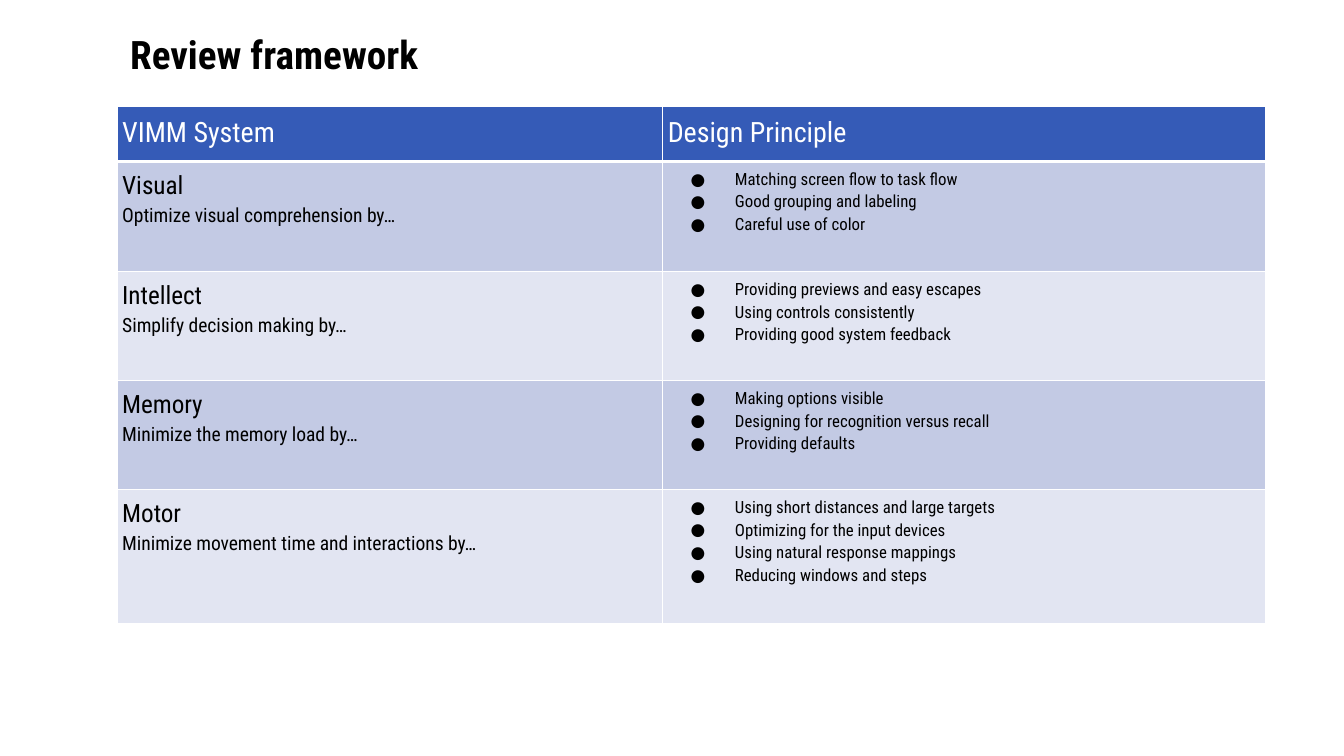
import dataclasses

import lxml.etree
import pptx
import pptx.dml.color
import pptx.enum.text
import pptx.oxml
import pptx.oxml.ns
import pptx.util

Cm = pptx.util.Cm
Pt = pptx.util.Pt
qn = pptx.oxml.ns.qn


@dataclasses.dataclass(frozen=True)
class Theme:
    font: str = "Roboto Condensed"
    text: str = "000000"
    light: str = "FFFFFF"
    header: str = "355BB7"
    bands: tuple = ("C3CAE4", "E2E5F2")
    title_size: float = 21
    header_size: float = 15
    system_size: float = 13.5
    goal_size: float = 10.5
    bullet_size: float = 9
    thin: float = 0.75
    thick: float = 2.25


THEME = Theme()
HEADINGS = ("VIMM System", "Design Principle")
SYSTEMS = [
    ("Visual", "Optimize visual comprehension by…",
     ["Matching screen flow to task flow", "Good grouping and labeling",
      "Careful use of color"]),
    ("Intellect", "Simplify decision making by…",
     ["Providing previews and easy escapes", "Using controls consistently",
      "Providing good system feedback"]),
    ("Memory", "Minimize the memory load by…",
     ["Making options visible", "Designing for recognition versus recall",
      "Providing defaults"]),
    ("Motor", "Minimize movement time and interactions by…",
     ["Using short distances and large targets", "Optimizing for the input devices",
      "Using natural response mappings", "Reducing windows and steps"]),
]
COLUMN_WIDTHS = (10.31, 11.4)
ROW_HEIGHTS = (1.04, 2.08, 2.06, 2.06, 2.54)


def rgb(color):
    return pptx.dml.color.RGBColor.from_string(color)


def format_runs(p, size, color, bold=False):
    for r in p.runs:
        r.font.name = THEME.font
        r.font.size = Pt(size)
        r.font.bold = bold
        r.font.color.rgb = rgb(color)


def add_bullet(p):
    pPr = p._p.get_or_add_pPr()
    pPr.set("marL", str(Cm(1.27)))
    pPr.set("indent", str(-Cm(0.84)))
    buClr = lxml.etree.SubElement(pPr, qn("a:buClr"))
    lxml.etree.SubElement(buClr, qn("a:srgbClr"), val=THEME.text)
    lxml.etree.SubElement(pPr, qn("a:buFont"), typeface=THEME.font)
    lxml.etree.SubElement(pPr, qn("a:buChar"), char="●")


def set_borders(cell, top, bottom):
    tcPr = cell._tc.get_or_add_tcPr()
    widths = {"lnL": THEME.thin, "lnR": THEME.thin, "lnT": top, "lnB": bottom}
    for i, (side, width) in enumerate(widths.items()):
        ln = lxml.etree.Element(qn(f"a:{side}"), w=str(Pt(width)))
        fill = lxml.etree.SubElement(ln, qn("a:solidFill"))
        lxml.etree.SubElement(fill, qn("a:srgbClr"), val=THEME.light)
        tcPr.insert(i, ln)


def fill_cell(cell, lines, sizes, color, fill, bulleted=False):
    cell.margin_left = cell.margin_right = Cm(0.1)
    cell.margin_top = cell.margin_bottom = Cm(0.1)
    cell.fill.solid()
    cell.fill.fore_color.rgb = rgb(fill)
    tf = cell.text_frame
    tf.text = "\n".join(lines)
    for p, size in zip(tf.paragraphs, sizes):
        p.line_spacing = 1.15
        if bulleted:
            add_bullet(p)
        format_runs(p, size, color)


def place_title(s, left, top, width, height):
    title = s.shapes.title
    title.left, title.top, title.width, title.height = left, top, width, height
    tf = title.text_frame
    tf.text = "Review framework"
    tf.word_wrap = True
    tf.auto_size = pptx.enum.text.MSO_AUTO_SIZE.NONE
    tf.vertical_anchor = pptx.enum.text.MSO_ANCHOR.MIDDLE
    tf.margin_left = tf.margin_right = tf.margin_top = tf.margin_bottom = Cm(0.25)
    p = tf.paragraphs[0]
    p.alignment = pptx.enum.text.PP_ALIGN.LEFT
    format_runs(p, THEME.title_size, THEME.text, bold=True)


def place_framework(s, left, top, width, height):
    table = s.shapes.add_table(
        len(SYSTEMS) + 1, len(HEADINGS), left, top, width, height).table
    for column, share in zip(table.columns, COLUMN_WIDTHS):
        column.width = int(width * share / sum(COLUMN_WIDTHS))
    for row, share in zip(table.rows, ROW_HEIGHTS):
        row.height = int(height * share / sum(ROW_HEIGHTS))

    for i, heading in enumerate(HEADINGS):
        fill_cell(table.cell(0, i), [heading], [THEME.header_size],
                  THEME.light, THEME.header)
    for i, (system, goal, principles) in enumerate(SYSTEMS):
        band = THEME.bands[i % 2]
        fill_cell(table.cell(i + 1, 0), [system, goal],
                  [THEME.system_size, THEME.goal_size], THEME.text, band)
        fill_cell(table.cell(i + 1, 1), principles,
                  [THEME.bullet_size] * len(principles), THEME.text, band,
                  bulleted=True)

    for i, row in enumerate(table.rows):
        for cell in row.cells:
            set_borders(cell,
                        top=THEME.thick if i == 1 else THEME.thin,
                        bottom=THEME.thick if i == 0 else THEME.thin)


def main():
    prs = pptx.Presentation()
    prs.slide_width, prs.slide_height = Cm(25.4), Cm(14.28)
    s = prs.slides.add_slide(prs.slide_layouts.get_by_name("Title Only"))
    place_title(s, Cm(2.21), Cm(0.3), Cm(8.33), Cm(1.42))
    place_framework(s, Cm(2.21), Cm(2.01),
                    Cm(sum(COLUMN_WIDTHS)), Cm(sum(ROW_HEIGHTS)))
    prs.save("out.pptx")


if __name__ == "__main__":
    main()
